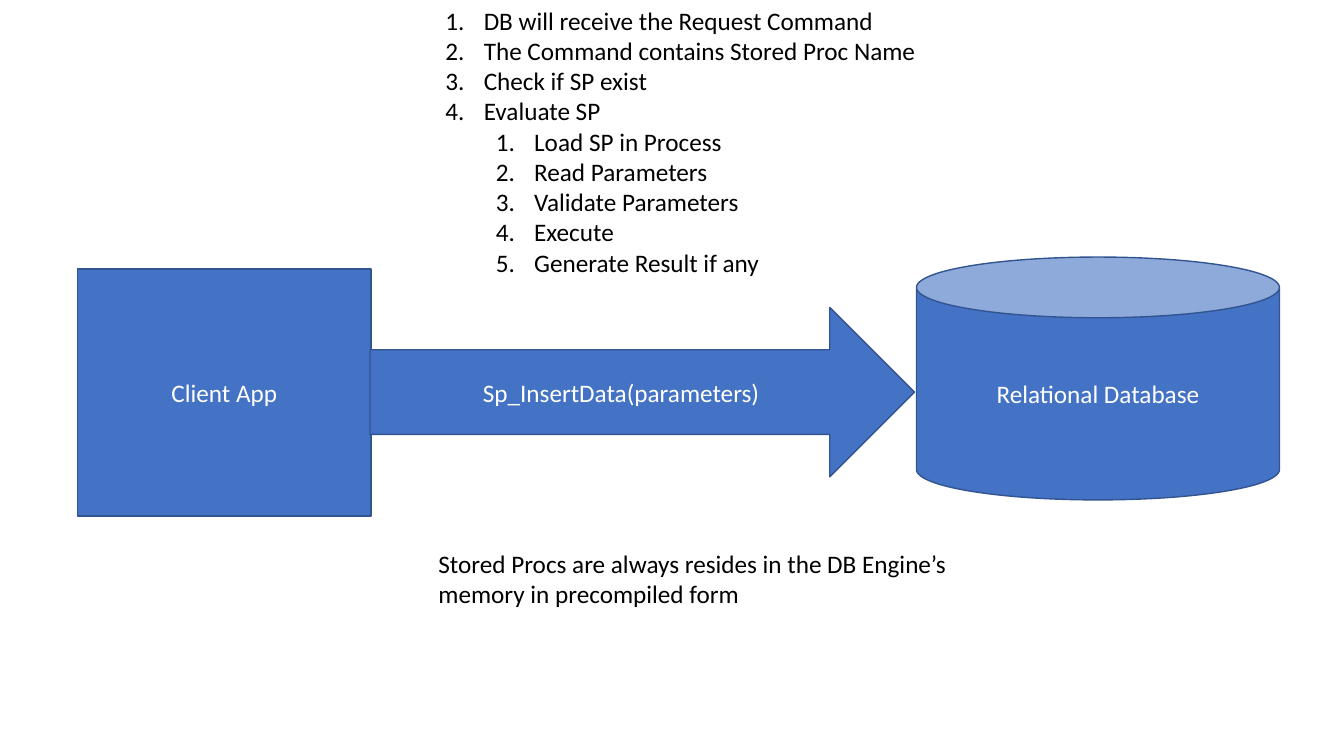
from lxml import etree
from pptx import Presentation
from pptx import util as u
from pptx.dml.color import RGBColor
from pptx.enum import shapes, text
from pptx.oxml import ns

BLUE = RGBColor(0x44, 0x72, 0xC4)
EDGE = RGBColor(0x32, 0x54, 0x91)
WHITE = RGBColor(0xFF, 0xFF, 0xFF)
BLACK = RGBColor(0, 0, 0)

WIDTH, HEIGHT = 13.33, 7.5
KIND = shapes.MSO_SHAPE
FLOW = [
    ("Client App", KIND.RECTANGLE, (0.77, 2.67, 2.91, 2.45)),
    ("Relational Database", KIND.CAN, (9.09, 2.55, 3.6, 2.41)),
    ("Sp_InsertData(parameters)", KIND.RIGHT_ARROW, (3.67, 3.05, 5.4, 1.68)),
]
STEPS = [
    (0, "DB will receive the Request Command"),
    (0, "The Command contains Stored Proc Name"),
    (0, "Check if SP exist"),
    (0, "Evaluate SP"),
    (1, "Load SP in Process"),
    (1, "Read Parameters"),
    (1, "Validate Parameters"),
    (1, "Execute"),
    (1, "Generate Result if any"),
]
STEPS_AREA = (4.32, 0, 7.8, 2.83)
REMARK = "Stored Procs are always resides in the DB Engine’s memory in precompiled form"
REMARK_AREA = (4.25, 5.39, 5.52, 0.71)
HANGING, LEVEL_INDENT = 0.38, 0.5
FONT = {"name": "Calibri", "size": u.Pt(18)}


def inches(area):
    return [u.Inches(length) for length in area]


def write(para, words, color):
    span = para.add_run()
    span.text = words
    for key, value in FONT.items():
        setattr(span.font, key, value)
    span.font.color.rgb = color


def number(para, level):
    para.level = level
    props = para._p.get_or_add_pPr()
    props.set("marL", str(u.Inches(HANGING + level * LEVEL_INDENT)))
    props.set("indent", str(-u.Inches(HANGING)))
    etree.SubElement(props, ns.qn("a:buFont"), typeface="+mj-lt")
    etree.SubElement(props, ns.qn("a:buAutoNum"), type="arabicPeriod")


def add_flow_shape(page, words, kind, area):
    shape = page.shapes.add_shape(kind, *inches(area))
    shape.shadow.inherit = False
    shape.fill.solid()
    shape.fill.fore_color.rgb = BLUE
    shape.line.color.rgb = EDGE
    shape.line.width = u.Pt(1)
    frame = shape.text_frame
    frame.word_wrap = True
    frame.vertical_anchor = text.MSO_ANCHOR.MIDDLE
    para = frame.paragraphs[0]
    para.alignment = text.PP_ALIGN.CENTER
    write(para, words, WHITE)


def add_text_frame(page, area):
    frame = page.shapes.add_textbox(*inches(area)).text_frame
    frame.word_wrap = True
    frame.auto_size = text.MSO_AUTO_SIZE.SHAPE_TO_FIT_TEXT
    return frame


def main():
    deck = Presentation()
    deck.slide_width, deck.slide_height = inches((WIDTH, HEIGHT))
    page = deck.slides.add_slide(deck.slide_layouts[6])
    for words, kind, area in FLOW:
        add_flow_shape(page, words, kind, area)
    steps = add_text_frame(page, STEPS_AREA)
    for index, (level, words) in enumerate(STEPS):
        para = steps.add_paragraph() if index else steps.paragraphs[0]
        number(para, level)
        write(para, words, BLACK)
    write(add_text_frame(page, REMARK_AREA).paragraphs[0], REMARK, BLACK)
    deck.save("out.pptx")


if __name__ == "__main__":
    main()
